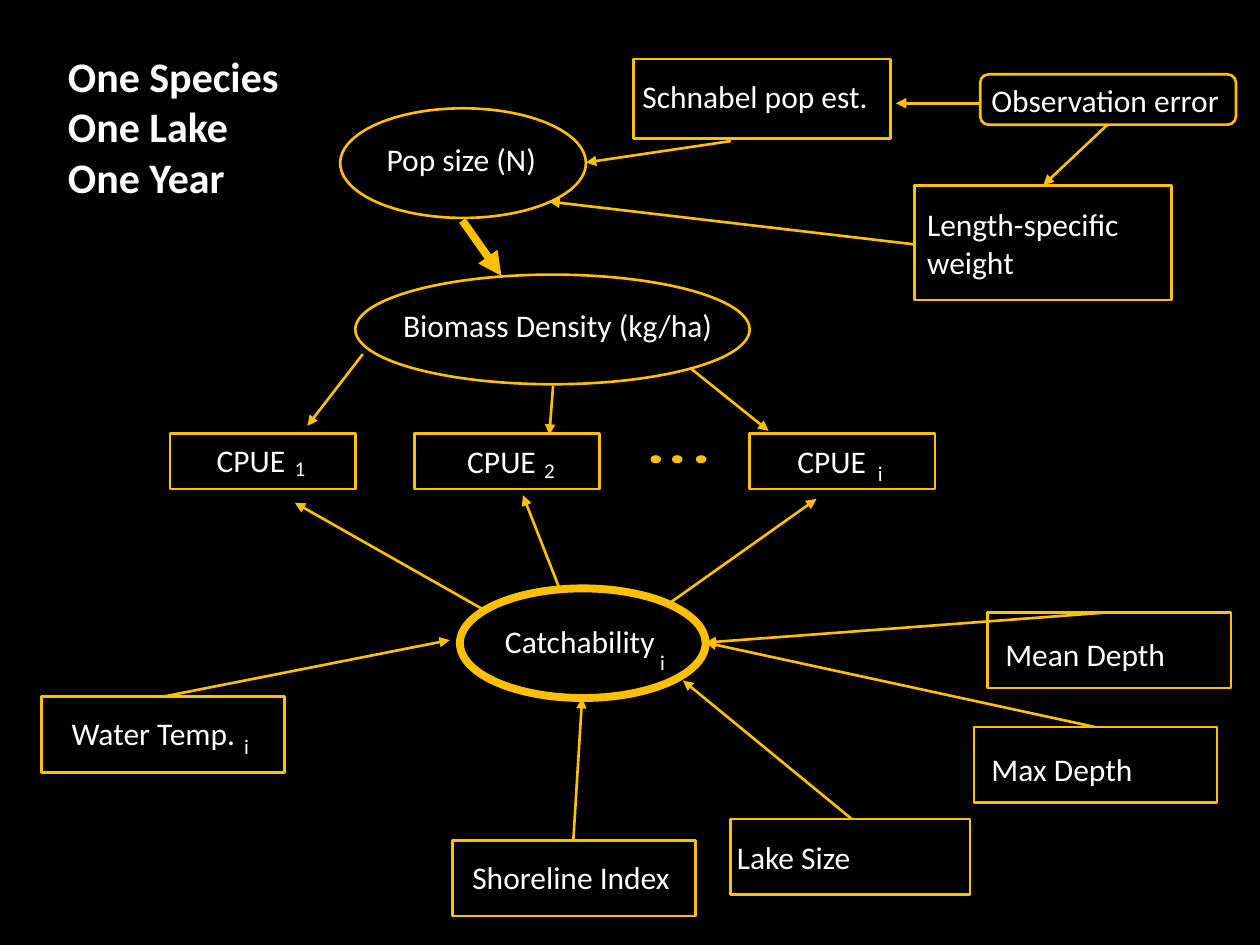
from dataclasses import dataclass
from typing import NamedTuple

from lxml.etree import SubElement
from pptx import Presentation
from pptx.dml.color import RGBColor
from pptx.enum.shapes import MSO_CONNECTOR as Connector, MSO_SHAPE as Preset
from pptx.enum.text import MSO_AUTO_SIZE as AutoSize
from pptx.oxml.ns import qn
from pptx.slide import Slide
from pptx.util import Inches, Pt


@dataclass(frozen=True)
class Theme:
    background: RGBColor = RGBColor(0x00, 0x00, 0x00)
    accent: RGBColor = RGBColor(0xFF, 0xC0, 0x00)
    text: RGBColor = RGBColor(0xFF, 0xFF, 0xFF)
    font: str = "Calibri"
    title_size: float = 24
    label_size: float = 18
    subscript_size: float = 12
    dot_line: float = 1
    thin_line: float = 1.5
    thick_line: float = 4.5


THEME = Theme()


class Box(NamedTuple):
    left: float
    top: float
    width: float
    height: float


class Label(NamedTuple):
    text: str
    box: Box
    size: float = THEME.label_size
    wrap: bool = False
    bold: bool = False


class Node(NamedTuple):
    preset: Preset
    box: Box
    label: Label
    weight: float = THEME.thin_line


class Arrow(NamedTuple):
    start: tuple[float, float]
    end: tuple[float, float]
    weight: float = THEME.thin_line


def subscript(text: str, left: float, top: float) -> Label:
    width = 0.24 if text == "i" else 0.29
    return Label(text, Box(left, top, width, 0.3), THEME.subscript_size)


def cpue_node(left: float, label_left: float, label_top: float) -> Node:
    return Node(Preset.RECTANGLE, Box(left, 3.44, 1.47, 0.44),
                Label("CPUE", Box(label_left, label_top, 0.75, 0.4)))


def factor_node(text: str, left: float, top: float, label: Box,
                width: float = 1.93, wrap: bool = False) -> Node:
    """Describe a box for something that affects catchability."""
    return Node(Preset.RECTANGLE, Box(left, top, width, 0.6),
                Label(text, label, wrap=wrap))


TITLE = Label("One Species\nOne Lake\nOne Year", Box(0.44, 0.35, 3.42, 1.31),
              THEME.title_size, wrap=True, bold=True)

NODES = [
    Node(Preset.OVAL, Box(2.7, 0.86, 1.95, 0.87),
         Label("Pop size (N)", Box(2.97, 1.06, 1.4, 0.4))),
    Node(Preset.OVAL, Box(2.82, 2.18, 3.13, 0.87),
         Label("Biomass Density (kg/ha)", Box(3.1, 2.38, 2.71, 0.4))),
    Node(Preset.OVAL, Box(3.65, 4.67, 1.95, 0.87),
         Label("Catchability", Box(3.91, 4.89, 1.4, 0.4)), THEME.thick_line),
    Node(Preset.RECTANGLE, Box(5.03, 0.47, 2.04, 0.63),
         Label("Schnabel pop est.", Box(5, 0.56, 2.04, 0.4), wrap=True)),
    Node(Preset.ROUNDED_RECTANGLE, Box(7.78, 0.59, 2.03, 0.4),
         Label("Observation error", Box(7.77, 0.59, 2.03, 0.4))),
    Node(Preset.RECTANGLE, Box(7.26, 1.47, 2.04, 0.91),
         Label("Length-specific weight", Box(7.26, 1.58, 2.04, 0.71), wrap=True)),
    cpue_node(1.35, 1.62, 3.45),
    cpue_node(3.29, 3.61, 3.46),
    cpue_node(5.95, 6.23, 3.46),
    factor_node("Water Temp.", 0.33, 5.53, Box(0.47, 5.62, 1.54, 0.4)),
    factor_node("Shoreline Index", 3.59, 6.67, Box(3.65, 6.76, 1.82, 0.4)),
    factor_node("Lake Size", 5.8, 6.5, Box(5.75, 6.6, 1.18, 0.4), width=1.9),
    factor_node("Max Depth", 7.73, 5.77, Box(7.77, 5.9, 1.35, 0.4)),
    factor_node("Mean Depth", 7.84, 4.86, Box(7.88, 4.99, 1.69, 0.4), wrap=True),
]

SUBSCRIPTS = [
    subscript("1", 2.24, 3.57),
    subscript("2", 4.22, 3.58),
    subscript("i", 6.87, 3.61),
    subscript("i", 5.14, 5.11),
    subscript("i", 1.84, 5.77),
]

ELLIPSIS_DOTS = [Box(left, 3.62, 0.07, 0.05) for left in (5.17, 5.34, 5.53)]

ARROWS = [
    # Estimates and errors to population size
    Arrow((7.78, 0.82), (7.11, 0.82)),
    Arrow((8.79, 0.99), (8.28, 1.47)),
    Arrow((5.8, 1.12), (4.65, 1.29)),
    Arrow((7.26, 1.94), (4.36, 1.6)),
    # Population size to biomass density
    Arrow((3.67, 1.75), (3.98, 2.19), THEME.thick_line),
    # Biomass density to CPUE
    Arrow((2.88, 2.81), (2.44, 3.38)),
    Arrow((4.39, 3.06), (4.36, 3.45)),
    Arrow((5.49, 2.93), (6.1, 3.42)),
    # Catchability to CPUE
    Arrow((3.84, 4.84), (2.34, 3.99)),
    Arrow((4.44, 4.67), (4.15, 3.93)),
    Arrow((5.31, 4.79), (6.48, 3.96)),
    # Factors to catchability
    Arrow((1.29, 5.53), (3.57, 5.08)),
    Arrow((4.55, 6.67), (4.62, 5.54)),
    Arrow((6.76, 6.5), (5.42, 5.4)),
    Arrow((8.69, 5.77), (5.6, 5.1)),
    Arrow((8.8, 4.86), (5.6, 5.1)),
]


def draw_outline(slide: Slide, preset: Preset, box: Box, weight: float,
                 filled: bool = False) -> None:
    shape = slide.shapes.add_shape(preset, *map(Inches, box))
    shape.shadow.inherit = False
    if filled:
        shape.fill.solid()
        shape.fill.fore_color.rgb = THEME.accent
    else:
        shape.fill.background()
    shape.line.color.rgb = THEME.accent
    shape.line.width = Pt(weight)


def draw_label(slide: Slide, label: Label) -> None:
    text_frame = slide.shapes.add_textbox(*map(Inches, label.box)).text_frame
    text_frame.text = label.text
    text_frame.word_wrap = label.wrap
    text_frame.auto_size = AutoSize.SHAPE_TO_FIT_TEXT
    for paragraph in text_frame.paragraphs:
        for run in paragraph.runs:
            run.font.name = THEME.font
            run.font.size = Pt(label.size)
            run.font.bold = label.bold
            run.font.color.rgb = THEME.text


def draw_arrow(slide: Slide, arrow: Arrow) -> None:
    connector = slide.shapes.add_connector(
        Connector.STRAIGHT, *map(Inches, (*arrow.start, *arrow.end)))
    connector.line.color.rgb = THEME.accent
    connector.line.width = Pt(arrow.weight)
    SubElement(connector.line._get_or_add_ln(), qn("a:tailEnd"), type="triangle")
    SubElement(connector._element.spPr, qn("a:effectLst"))


def main() -> None:
    presentation = Presentation()
    presentation.slide_width, presentation.slide_height = Inches(10), Inches(7.5)
    slide = presentation.slides.add_slide(presentation.slide_layouts[6])
    slide.background.fill.solid()
    slide.background.fill.fore_color.rgb = THEME.background

    for dot in ELLIPSIS_DOTS:
        draw_outline(slide, Preset.OVAL, dot, THEME.dot_line, filled=True)
    for node in NODES:
        draw_outline(slide, node.preset, node.box, node.weight)
        draw_label(slide, node.label)
    for arrow in ARROWS:
        draw_arrow(slide, arrow)
    for label in (*SUBSCRIPTS, TITLE):
        draw_label(slide, label)

    presentation.save("out.pptx")


if __name__ == "__main__":
    main()
